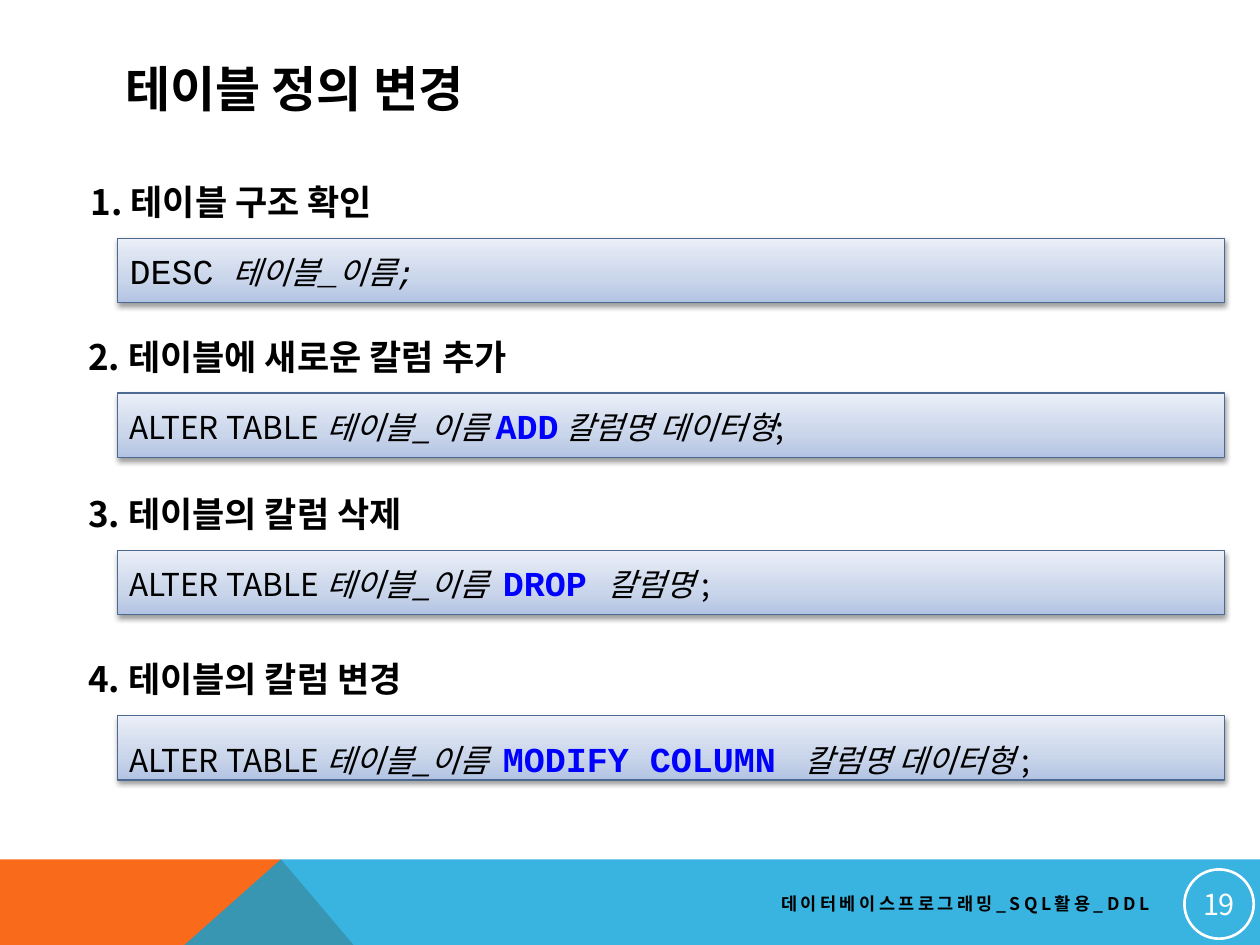
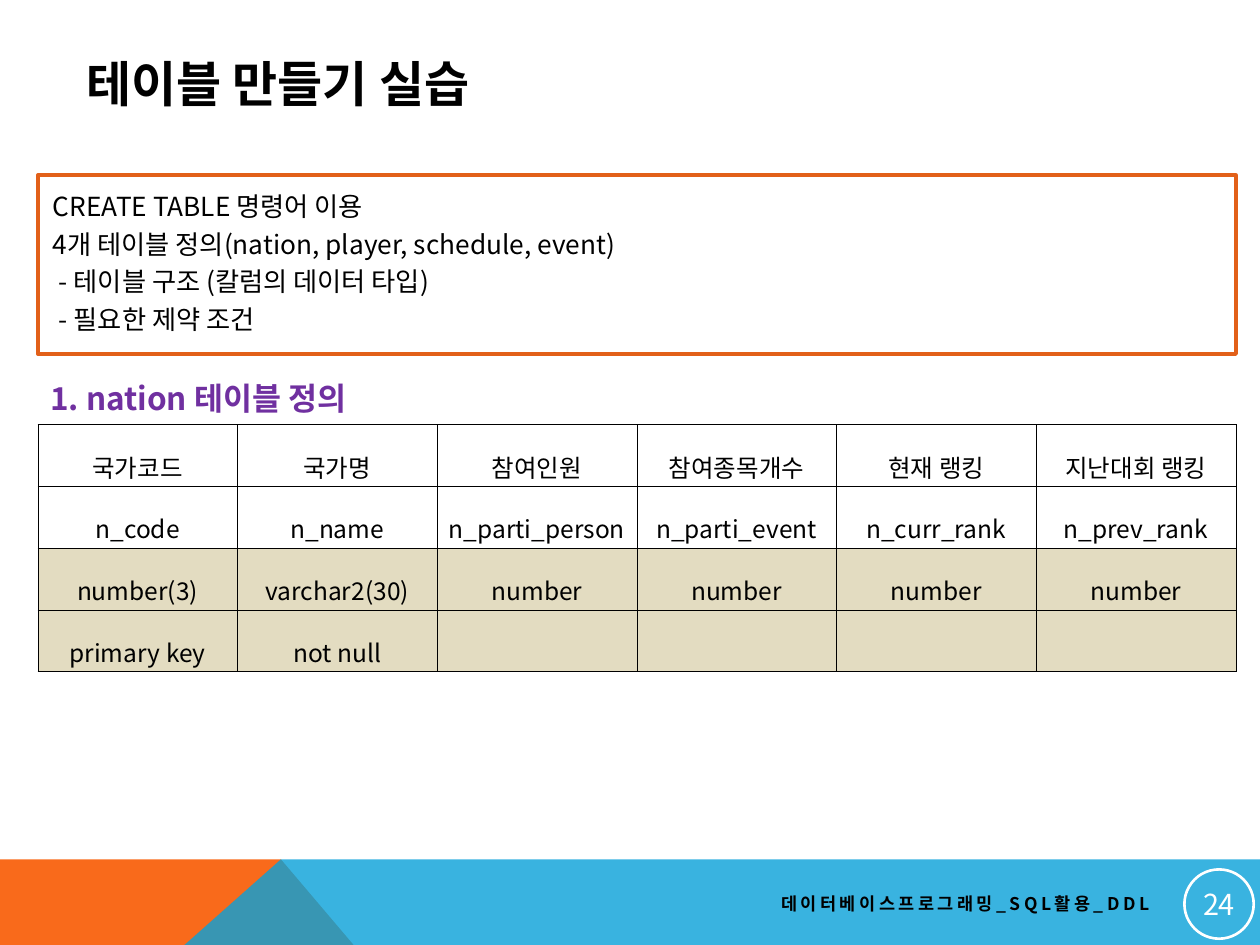
from lxml.etree import SubElement
from pptx import Presentation
from pptx.dml.color import RGBColor
from pptx.enum.shapes import MSO_SHAPE
from pptx.enum.text import MSO_ANCHOR, PP_ALIGN
from pptx.oxml.ns import qn
from pptx.util import Inches, Pt

COLORS = {
    "black": "000000", "white": "FFFFFF", "orange": "F96A1B", "sky": "08A1D9",
    "keyword": "0000FF", "code_line": "4D6B92", "frame": "E26019",
    "heading": "7030A0", "sand": "E3DCC1",
}
CODE_GRADIENT = [(0, "B2C3E3"), (35, "C9D5EA"), (100, "EAEFF8")]
SANS = "Noto Sans CJK KR"
MONO = "Courier New"
FOOTER = "데이터베이스프로그래밍_SQL활용_DDL"


def rgb(name):
    """Return the named colour."""
    return RGBColor.from_string(COLORS[name])


def add_element(parent, tag, **attributes):
    """Append a DrawingML element with the given attributes."""
    return SubElement(parent, qn(tag), {key: str(value) for key, value in attributes.items()})


def add_run(paragraph, text, size=18, font=SANS, color="black", bold=False, italic=False, tracking=0):
    """Add one formatted run; Korean letters always use the sans font."""
    run = paragraph.add_run()
    run.text = text
    run.font.size = Pt(size)
    run.font.name = font
    run.font.bold = bold
    run.font.italic = italic
    run.font.color.rgb = rgb(color)
    properties = run.font._element
    add_element(properties, "a:ea", typeface=SANS)
    if tracking:
        properties.set("spc", str(tracking * 100))


def write_text(frame, lines, align=PP_ALIGN.LEFT, anchor=MSO_ANCHOR.TOP, margins=None,
               line_spacing=None, before=None, after=None, hanging=0, **run_format):
    """Write lines, each a string or a list of (text, format) pairs."""
    frame.word_wrap = True
    frame.vertical_anchor = anchor
    if margins:
        (frame.margin_left, frame.margin_top,
         frame.margin_right, frame.margin_bottom) = map(Inches, margins)
    for index, line in enumerate(lines):
        paragraph = frame.add_paragraph() if index else frame.paragraphs[0]
        paragraph.alignment = align
        paragraph.line_spacing = line_spacing
        paragraph.space_before = before
        paragraph.space_after = after
        if hanging:
            properties = paragraph._p.get_or_add_pPr()
            properties.set("marL", str(Inches(hanging)))
            properties.set("indent", str(-Inches(hanging)))
        for text, changes in [(line, {})] if isinstance(line, str) else line:
            add_run(paragraph, text, **{**run_format, **changes})


class Deck:
    """Holds the shared style and the current slide."""

    def __init__(self):
        """Start an empty 4:3 presentation."""
        self.presentation = Presentation()
        self.presentation.slide_width = Inches(10)
        self.presentation.slide_height = Inches(7.5)
        self.slide = None

    def add_slide(self, title, left, top, number):
        """Add a slide with band, title, page number and footer."""
        self.slide = self.presentation.slides.add_slide(self.presentation.slide_layouts[6])
        self.outline([(0, 8.8), (0, 6.82), (2.23, 6.82), (3.91, 8.8)], "orange")
        self.outline([(0, 8.8), (2.23, 6.82), (10, 6.82), (10, 8.8)], "sky", opacity=80)
        self.text(title, left, top, 8.22, 0.6, anchor=MSO_ANCHOR.MIDDLE, size=28, bold=True)
        circle = self.shape(MSO_SHAPE.OVAL, 9.4, 6.9, 0.55, 0.55, "white", 1.5)
        circle.fill.background()
        write_text(circle.text_frame, [str(number)], align=PP_ALIGN.CENTER,
                   anchor=MSO_ANCHOR.MIDDLE, margins=[0.01] * 4, size=16.5, color="white")
        self.text(FOOTER, 3.58, 7.02, 5.64, 0.3, align=PP_ALIGN.RIGHT,
                  anchor=MSO_ANCHOR.MIDDLE, size=10, bold=True, tracking=2)

    def outline(self, points, color, opacity=100):
        """Draw a closed, filled polygon."""
        corners = [(Inches(x), Inches(y)) for x, y in points]
        builder = self.slide.shapes.build_freeform(*corners[0])
        builder.add_line_segments(corners[1:], close=True)
        shape = builder.convert_to_shape()
        shape.shadow.inherit = False
        shape.line.fill.background()
        shape.fill.solid()
        shape.fill.fore_color.rgb = rgb(color)
        if opacity < 100:
            color_element = shape._element.spPr.find(".//" + qn("a:srgbClr"))
            add_element(color_element, "a:alpha", val=opacity * 1000)

    def shape(self, kind, left, top, width, height, line, line_width):
        """Add an outlined preset shape without shadow."""
        shape = self.slide.shapes.add_shape(
            kind, Inches(left), Inches(top), Inches(width), Inches(height))
        shape.shadow.inherit = False
        shape.line.color.rgb = rgb(line)
        shape.line.width = Pt(line_width)
        return shape

    def text(self, text, left, top, width, height, **text_format):
        """Add a one-line text box."""
        box = self.slide.shapes.add_textbox(
            Inches(left), Inches(top), Inches(width), Inches(height))
        write_text(box.text_frame, [text], **text_format)

    def code_box(self, runs, top, line_spacing=None):
        """Add a gradient bar with a soft shadow that shows one statement."""
        bar = self.shape(MSO_SHAPE.RECTANGLE, 0.93, top, 8.79, 0.51, "code_line", 0.75)
        bar.fill.gradient()
        bar.fill.gradient_angle = 90
        properties = bar._element.spPr
        stops = properties.find(".//" + qn("a:gsLst"))
        for stop in list(stops):
            stops.remove(stop)
        for position, color in CODE_GRADIENT:
            stop = add_element(stops, "a:gs", pos=position * 1000)
            add_element(stop, "a:srgbClr", val=color)
        shadow = add_element(properties.find(qn("a:effectLst")), "a:outerShdw",
                             blurRad=Pt(3.1), dist=Pt(1.6), dir=90 * 60000, rotWithShape=0)
        shadow_color = add_element(shadow, "a:srgbClr", val=COLORS["black"])
        add_element(shadow_color, "a:alpha", val=38000)
        write_text(bar.text_frame, [runs], anchor=MSO_ANCHOR.MIDDLE, line_spacing=line_spacing)

    def framed_text(self, lines, left, top, width, height):
        """Add a white box with a coloured frame."""
        box = self.shape(MSO_SHAPE.RECTANGLE, left, top, width, height, "frame", 2)
        box.fill.solid()
        box.fill.fore_color.rgb = rgb("white")
        write_text(box.text_frame, lines, anchor=MSO_ANCHOR.MIDDLE,
                   margins=[0.12, 0.04, 0.04, 0.04], line_spacing=0.9, after=Pt(5.25), size=15)

    def table(self, rows, left, top, width, row_height, shaded_from):
        """Add a ruled table whose rows are shaded from the given index on."""
        columns = len(rows[0])
        table = self.slide.shapes.add_table(
            len(rows), columns, Inches(left), Inches(top),
            Inches(width), Inches(row_height * len(rows))).table
        table.first_row = table.horz_banding = False
        for row_index, row in enumerate(rows):
            for column_index, text in enumerate(row):
                cell = table.cell(row_index, column_index)
                self.cell_borders(cell)
                if row_index >= shaded_from:
                    cell.fill.solid()
                    cell.fill.fore_color.rgb = rgb("sand")
                else:
                    cell.fill.background()
                cell.vertical_anchor = MSO_ANCHOR.MIDDLE
                cell.margin_left = cell.margin_right = Inches(0.07)
                cell.margin_top = cell.margin_bottom = Inches(0.02)
                if text:
                    paragraph = cell.text_frame.paragraphs[0]
                    paragraph.alignment = PP_ALIGN.CENTER
                    paragraph.line_spacing = 1.6
                    add_run(paragraph, text, size=14)

    def cell_borders(self, cell):
        """Rule all four sides of a cell with a hairline."""
        properties = cell._tc.get_or_add_tcPr()
        for side in ("a:lnL", "a:lnR", "a:lnT", "a:lnB"):
            border = add_element(properties, side, w=Pt(0.28))
            add_element(add_element(border, "a:solidFill"), "a:srgbClr", val=COLORS["black"])


def alter_statement(gap, keyword, *rest):
    """Return the runs of an ALTER TABLE statement."""
    return [("ALTER\u00a0TABLE\u00a0", {}), ("테이블_이름" + gap, {"italic": True}),
            (keyword, {"size": 20, "font": MONO, "color": "keyword", "bold": True}), *rest]


def build_alter_slide(deck):
    """Show the statements that change a table definition."""
    deck.add_slide("테이블 정의 변경", 0.9, 0.4, 19)
    italic = {"italic": True}
    describe = [("DESC", {"size": 20, "font": MONO}), (" ", {"font": MONO}),
                ("테이블_이름;", {"font": MONO, "italic": True})]
    steps = [
        (0.62, 1.89, "1. 테이블 구조 확인", describe, None),
        (0.6, 3.12, "2. 테이블에 새로운 칼럼 추가",
         alter_statement(" ", "ADD", ("\u00a0", {}), ("칼럼명 데이터형", italic), (";", {})), None),
        (0.6, 4.37, "3. 테이블의 칼럼 삭제",
         alter_statement("  ", "DROP ", ("칼럼명 ", italic), (";", {})), None),
        (0.6, 5.68, "4. 테이블의 칼럼 변경",
         alter_statement("  ", "MODIFY\u00a0COLUMN ", ("\u00a0", {}),
                         ("칼럼명 데이터형 ", italic), (";", {})), 1.5),
    ]
    for left, top, heading, runs, line_spacing in steps:
        deck.text(heading, left, top - 0.51, 8.22, 0.5, before=Pt(8), hanging=0.38,
                  size=20, bold=True)
        deck.code_box(runs, top, line_spacing)


def build_practice_slide(deck):
    """Show the table-creation exercise."""
    deck.add_slide("테이블 만들기 실습", 0.59, 0.36, 24)
    deck.framed_text([
        "CREATE TABLE 명령어 이용",
        "4개 테이블 정의(nation, player, schedule, event)",
        " - 테이블 구조 (칼럼의 데이터 타입)",
        " - 필요한 제약 조건",
    ], 0.3, 1.39, 9.51, 1.42)
    deck.text("1. nation 테이블 정의", 0.3, 2.96, 2.75, 0.4, bold=True, color="heading")
    deck.table([
        ["국가코드", "국가명", "참여인원", "참여종목개수", "현재 랭킹", "지난대회 랭킹"],
        ["n_code", "n_name", "n_parti_person", "n_parti_event", "n_curr_rank", "n_prev_rank"],
        ["number(3)", "varchar2(30)"] + ["number"] * 4,
        ["primary key", "not null"] + [""] * 4,
    ], 0.3, 3.37, 9.51, 0.49, shaded_from=2)


def main():
    """Build and save the presentation."""
    deck = Deck()
    build_alter_slide(deck)
    build_practice_slide(deck)
    deck.presentation.save("out.pptx")


main()
